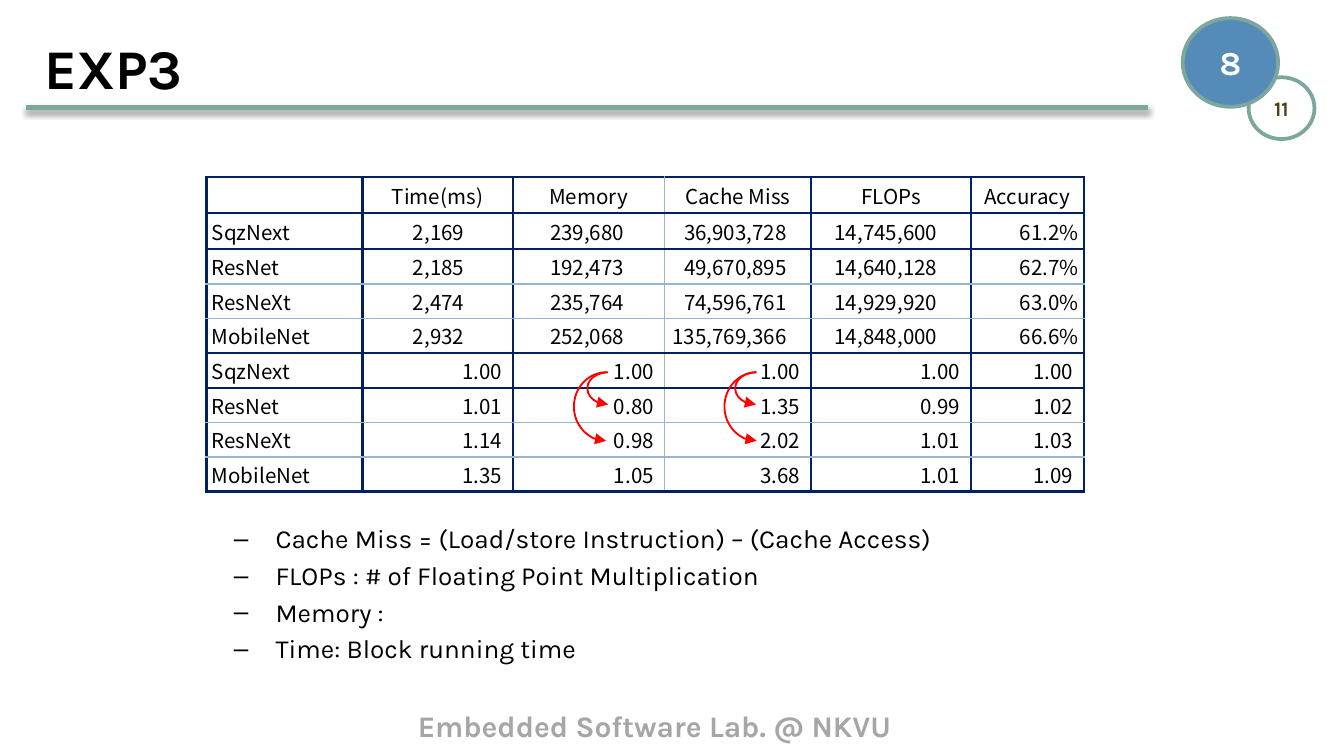
from lxml import etree
from pptx import Presentation
from pptx.dml.color import RGBColor
from pptx.enum.shapes import MSO_CONNECTOR, MSO_SHAPE
from pptx.enum.text import MSO_ANCHOR, MSO_AUTO_SIZE, PP_ALIGN
from pptx.oxml import parse_xml
from pptx.oxml.ns import nsdecls, qn
from pptx.util import Inches, Pt

THEME = dict(
    font="Karla", table_font="Noto Sans CJK KR",
    ink="000000", paper="FFFFFF", sage="7BA79D", blue="558BB8", brown="513E1B",
    grey="A6A6A6", navy="002060", pale="94B6D2", red="FF0000",
    title=30, page=18, footer=16, body=14, small=11,
)
ALIGN = dict(l=PP_ALIGN.LEFT, c=PP_ALIGN.CENTER, r=PP_ALIGN.RIGHT)

# Grid: the 16:9 slide is 100 columns wide and 56.25 rows high
COLUMNS, ROWS, UNIT = 100, 56.25, Inches(0.1)


def grid(*cells):
    return [round(cell * UNIT) for cell in cells]


def write(frame, text, size="body", color="ink", font="font", bold=False,
          align="l", anchor=MSO_ANCHOR.TOP, wrap=True, insets=None):
    """Fill a text frame, one paragraph per line of text, and format it."""
    frame.word_wrap = wrap
    frame.vertical_anchor = anchor
    if insets:
        (frame.margin_left, frame.margin_top,
         frame.margin_right, frame.margin_bottom) = map(Inches, insets)
    frame.text = text
    for paragraph in frame.paragraphs:
        paragraph.alignment = ALIGN[align]
        for run in paragraph.runs:
            run.font.name = THEME[font]
            run.font.size = Pt(THEME[size])
            run.font.bold = bold
            run.font.color.rgb = RGBColor.from_string(THEME[color])


prs = Presentation()
prs.slide_width, prs.slide_height = grid(COLUMNS, ROWS)
slide = prs.slides.add_slide(prs.slide_layouts[1])
shapes = slide.shapes

# Title
title = shapes.title
title.left, title.top, title.width, title.height = grid(2.3, 1.55, 82, 6.9)
write(title.text_frame, "EXP3", size="title", bold=True, anchor=MSO_ANCHOR.MIDDLE)

# Rule under the title, with a soft shadow
rule = shapes.add_connector(MSO_CONNECTOR.STRAIGHT, *grid(1.95, 8, 85.4, 8))
rule.line.color.rgb = RGBColor.from_string(THEME["sage"])
rule.line.width = Pt(3)
rule._element.spPr.append(parse_xml(
    f'<a:effectLst {nsdecls("a")}><a:outerShdw blurRad="{Pt(3.1)}" dist="{Pt(1.8)}" '
    f'dir="5400000" rotWithShape="0"><a:srgbClr val="{THEME["ink"]}">'
    '<a:alpha val="35000"/></a:srgbClr></a:outerShdw></a:effectLst>'))

# Page total and page number
for place, fill, number, size, color in (
    ((92.9, 5.75, 4.9, 4.6), "paper", "11", "small", "brown"),
    ((88, 1.35, 7.1, 6.6), "blue", "8", "page", "paper"),
):
    badge = shapes.add_shape(MSO_SHAPE.OVAL, *grid(*place))
    badge.shadow.inherit = False
    badge.fill.solid()
    badge.fill.fore_color.rgb = RGBColor.from_string(THEME[fill])
    badge.line.color.rgb = RGBColor.from_string(THEME["sage"])
    badge.line.width = Pt(2)
    write(badge.text_frame, number, size=size, color=color, bold=True, align="c",
          anchor=MSO_ANCHOR.MIDDLE, insets=(0.04,) * 4)

# Footer
footer = shapes.add_textbox(*grid(30.1, 52.55, 39.8, 3.4))
write(footer.text_frame, "Embedded Software Lab. @ NKVU", size="footer",
      color="grey", bold=True, wrap=False)
footer.text_frame.auto_size = MSO_AUTO_SIZE.SHAPE_TO_FIT_TEXT
footer.text_frame.paragraphs[0].line_spacing = 0.87

# Definitions of the measures
definitions = slide.placeholders[1]
(definitions.left, definitions.top,
 definitions.width, definitions.height) = grid(11.4, 38.4, 90, 13.4)
write(definitions.text_frame, "\n".join((
    "Cache Miss = (Load/store Instruction) – (Cache Access)",
    "FLOPs : # of Floating Point Multiplication",
    "Memory :",
    "Time: Block running time",
)))
for paragraph in definitions.text_frame.paragraphs:
    paragraph.level = 1
    bullet = paragraph._p.get_or_add_pPr()
    bullet.set("marL", str(Inches(0.81)))
    bullet.set("indent", str(Inches(-0.31)))
    before = etree.SubElement(bullet, qn("a:spcBef"))
    etree.SubElement(before, qn("a:spcPct")).set("val", "20000")
    etree.SubElement(bullet, qn("a:buChar")).set("char", "–")

# Results: measured values, then values relative to SqzNext
results = (
    ("", "Time(ms)", "Memory", "Cache Miss", "FLOPs", "Accuracy"),
    ("SqzNext", "2,169", "239,680", "36,903,728", "14,745,600", "61.2%"),
    ("ResNet", "2,185", "192,473", "49,670,895", "14,640,128", "62.7%"),
    ("ResNeXt", "2,474", "235,764", "74,596,761", "14,929,920", "63.0%"),
    ("MobileNet", "2,932", "252,068", "135,769,366", "14,848,000", "66.6%"),
    ("SqzNext", "1.00", "1.00", "1.00", "1.00", "1.00"),
    ("ResNet", "1.01", "0.80", "1.35", "0.99", "1.02"),
    ("ResNeXt", "1.14", "0.98", "2.02", "1.01", "1.03"),
    ("MobileNet", "1.35", "1.05", "3.68", "1.01", "1.09"),
)
widths = (11.6, 11.2, 11.3, 10.9, 11.9, 8.4)
heights = (2.68,) * 2 + (2.58,) * 7
measured_insets = (0.04, 0.36, 0.3, 0.18, 0.25, 0.04)
navy_rows, pale_column = {0, 1, 2, 5, 6, 9}, 3

table = shapes.add_table(len(heights), len(widths),
                         *grid(15.36, 13.18, sum(widths), sum(heights))).table
table.first_row = table.horz_banding = False
for column, width in zip(table.columns, grid(*widths)):
    column.width = width
for row, height in zip(table.rows, grid(*heights)):
    row.height = height

for r, values in enumerate(results):
    for c, value in enumerate(values):
        cell = table.cell(r, c)
        right = 0.04 if r == 0 or c == 0 else measured_insets[c] if r < 5 else 0.08
        write(cell.text_frame, value, size="small", font="table_font",
              align="c" if r == 0 else "l" if c == 0 else "r")
        cell.vertical_anchor = MSO_ANCHOR.MIDDLE
        cell.margin_left, cell.margin_right = Inches(0.04), Inches(right)
        cell.margin_top = cell.margin_bottom = 0
        if not value:
            cell.text_frame.paragraphs[0]._p.get_or_add_endParaRPr().set(
                "sz", str(THEME["small"] * 100))
        for side, navy in (("L", c != pale_column), ("R", c + 1 != pale_column),
                           ("T", r in navy_rows), ("B", r + 1 in navy_rows)):
            color, weight = ("navy", 1.5) if navy else ("pale", 1)
            cell._tc.get_or_add_tcPr().append(parse_xml(
                f'<a:ln{side} {nsdecls("a")} w="{Pt(weight)}"><a:solidFill>'
                f'<a:srgbClr val="{THEME[color]}"/></a:solidFill></a:ln{side}>'))
        cell.fill.background()

# Curved arrows from SqzNext to ResNet and ResNeXt
for place in ((43.7, 27.7, 3.1, 2.4), (54.7, 27.7, 3.1, 2.4),
              (42.7, 27.7, 4.8, 5.1), (53.9, 27.7, 4.8, 5.1)):
    arrow = shapes.add_shape(MSO_SHAPE.ARC, *grid(*place))
    arrow.shadow.inherit = False
    for i, degrees in enumerate((90, 270)):
        arrow.adjustments[i] = degrees * 0.6  # 60000 units to a degree
    arrow.fill.background()
    arrow.line.color.rgb = RGBColor.from_string(THEME["red"])
    arrow.line.width = Pt(1)
    etree.SubElement(arrow.line._get_or_add_ln(), qn("a:headEnd")).set("type", "triangle")

prs.save("out.pptx")
